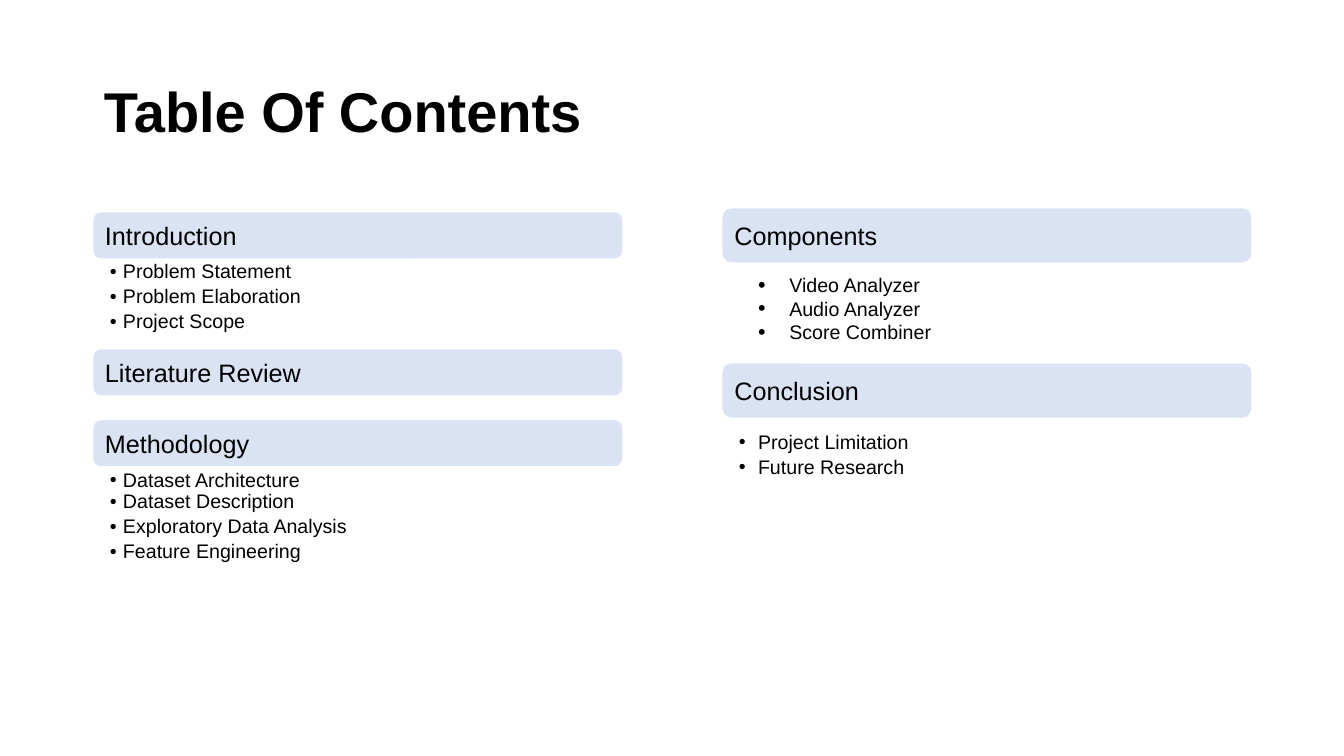
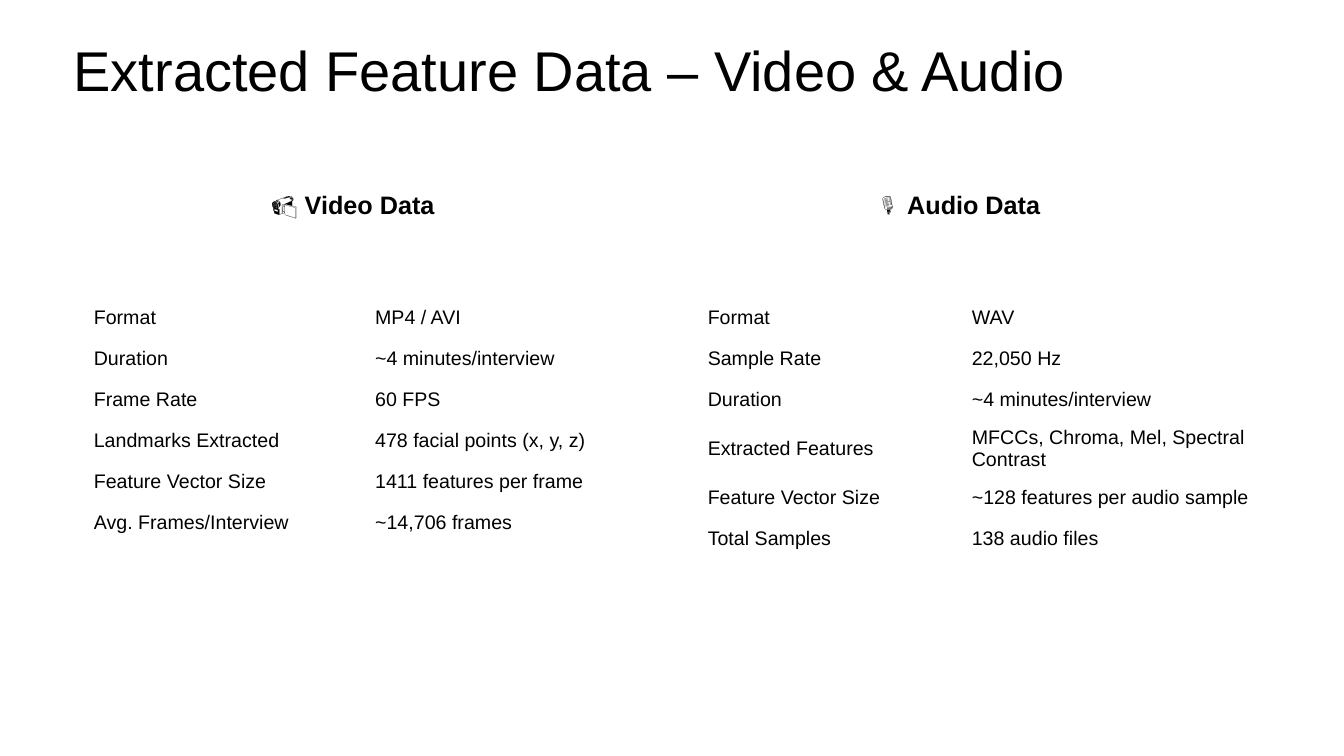
from lxml import etree
from pptx import Presentation
from pptx import util as u
from pptx.dml.color import RGBColor
from pptx.enum import shapes, text
from pptx.oxml.ns import qn

FONT, INK, BAND, WHITE = "Arial", "000000", "DAE3F3", "FFFFFF"
rgb = RGBColor.from_string

prs = Presentation()
prs.slide_width, prs.slide_height = u.Inches(13.333), u.Inches(7.5)


def share(left, top, width, height):
    w, h = prs.slide_width / 100, prs.slide_height / 100
    return [u.Emu(int(v)) for v in (left * w, top * h, width * w, height * h)]


def write(tf, paras, size, **fmt):
    for name, value in {"word_wrap": True, **fmt}.items():
        setattr(tf, name, value)
    for i, runs in enumerate(paras):
        p = tf.add_paragraph() if i else tf.paragraphs[0]
        p.alignment = text.PP_ALIGN.LEFT
        for words, bold in runs:
            r = p.add_run()
            r.text = words
            for name, value in {"name": FONT, "size": u.Pt(size), "bold": bold}.items():
                setattr(r.font, name, value)
            r.font.color.rgb = rgb(INK)


titles = [
    ("Table Of Contents", True, (6.98, 10.4, 85.97, 14.27), 0.05, 0.9),
    ("Extracted Feature Data – Video & Audio", False, (4.73, 3.33, 76.8, 11.87), 0.1, 1.0),
]
slides = []
for words, bold, area, inset, spacing in titles:
    s = prs.slides.add_slide(prs.slide_layouts[5])
    sp = s.shapes.title
    sp.left, sp.top, sp.width, sp.height = share(*area)
    write(sp.text_frame, [[(words, bold)]], 40,
          vertical_anchor=text.MSO_ANCHOR.TOP, auto_size=text.MSO_AUTO_SIZE.NONE,
          margin_left=u.Inches(0.1), margin_top=u.Inches(inset))
    sp.text_frame.paragraphs[0].line_spacing = spacing
    slides.append(s)
contents, features = slides

LEFT, RIGHT, WIDTH = 6.9, 53.7, 39.46
tight = dict(inset=(0.17, 0.03), indent=(0.13, 0.13), spacing=0.9, bullet=100)
medium = dict(tight, indent=(0.19, 0.19))
wide = dict(inset=(0.13, 0.13), indent=(0.54, 0.31), spacing=1.0, bullet=110)
sections = [
    ("Introduction", LEFT, 28, 6.27, 34.27, tight,
     [("Problem Statement", 0), ("Problem Elaboration", 2.7), ("Project Scope", 2.7)]),
    ("Literature Review", LEFT, 46.13, 6.27, 0, tight, []),
    ("Methodology", LEFT, 55.5, 6.27, 61.87, tight,
     [("Dataset Architecture", 0), ("Dataset Description", 0),
      ("Exploratory Data Analysis", 2.7), ("Feature Engineering", 2.7)]),
    ("Components", RIGHT, 27.47, 7.33, 34.4, wide,
     [("Video Analyzer", 0), ("Audio Analyzer", 0), ("Score Combiner", 0)]),
    ("Conclusion", RIGHT, 48, 7.33, 56.8, medium,
     [("Project Limitation", 0), ("Future Research", 2.7)]),
]
for heading, left, top, height, list_top, look, items in sections:
    sp = contents.shapes.add_shape(shapes.MSO_SHAPE.ROUNDED_RECTANGLE,
                                   *share(left, top, WIDTH, height))
    sp.shadow.inherit = False
    sp.fill.solid()
    sp.fill.fore_color.rgb = rgb(BAND)
    sp.line.color.rgb = rgb(WHITE)
    sp.line.width = u.Pt(1)
    write(sp.text_frame, [[(heading, False)]], 18,
          vertical_anchor=text.MSO_ANCHOR.MIDDLE, margin_left=u.Inches(0.1))
    if not items:
        continue
    sp = contents.shapes.add_textbox(*share(left, list_top, WIDTH, 3.5 * len(items)))
    side, edge = look["inset"]
    write(sp.text_frame, [[(item, False)] for item, gap in items], 14,
          margin_left=u.Inches(side), margin_right=u.Inches(side),
          margin_top=u.Inches(edge), margin_bottom=u.Inches(edge))
    indent, hang = look["indent"]
    for p, (item, gap) in zip(sp.text_frame.paragraphs, items):
        p.line_spacing = look["spacing"]
        p.space_before = u.Pt(gap)
        pPr = p._p.get_or_add_pPr()
        pPr.set("marL", str(u.Inches(indent)))
        pPr.set("indent", str(-u.Inches(hang)))
        color = etree.SubElement(pPr, qn("a:buClr"))
        etree.SubElement(color, qn("a:srgbClr"), val=INK)
        etree.SubElement(pPr, qn("a:buSzPct"), val=str(look["bullet"] * 1000))
        etree.SubElement(pPr, qn("a:buFont"), typeface=FONT)
        etree.SubElement(pPr, qn("a:buChar"), char="•")

HEAD_TOP, TABLE_TOP, ROW = 24.4, 39.33, 5.42
tables = [
    ("📹 ", "Video Data", 19.43, 13.73, False, 6.23, (20.93, 20.93), [
        ("Format", "MP4 / AVI"),
        ("Duration", "~4 minutes/interview"),
        ("Frame Rate", "60 FPS"),
        ("Landmarks Extracted", "478 facial points (x, y, z)"),
        ("Feature Vector Size", "1411 features per frame"),
        ("Avg. Frames/Interview", "~14,706 frames"),
    ]),
    ("🎙️ ", "Audio Data", 64.37, 14.63, True, 51.91, (19.65, 23.78), [
        ("Format", "WAV"),
        ("Sample Rate", "22,050 Hz"),
        ("Duration", "~4 minutes/interview"),
        ("Extracted Features", "MFCCs, Chroma, Mel, Spectral Contrast"),
        ("Feature Vector Size", "~128 features per audio sample"),
        ("Total Samples", "138 audio files"),
    ]),
]
for icon, heading, head_left, head_width, wrap, left, widths, rows in tables:
    sp = features.shapes.add_textbox(*share(head_left, HEAD_TOP, head_width, 5.33))
    write(sp.text_frame, [[(icon, False), (heading, True)]], 18, word_wrap=wrap,
          vertical_anchor=text.MSO_ANCHOR.MIDDLE,
          auto_size=text.MSO_AUTO_SIZE.SHAPE_TO_FIT_TEXT)
    table = features.shapes.add_table(
        len(rows), len(widths),
        *share(left, TABLE_TOP, sum(widths), ROW * len(rows))).table
    table.first_row = table.horz_banding = False
    for column, width in zip(table.columns, widths):
        column.width = share(0, 0, width, 0)[2]
    for r, row in enumerate(rows):
        for c, words in enumerate(row):
            cell = table.cell(r, c)
            cell.fill.background()
            cell.vertical_anchor = text.MSO_ANCHOR.MIDDLE
            write(cell.text_frame, [[(words, False)]], 14)

prs.save("out.pptx")
